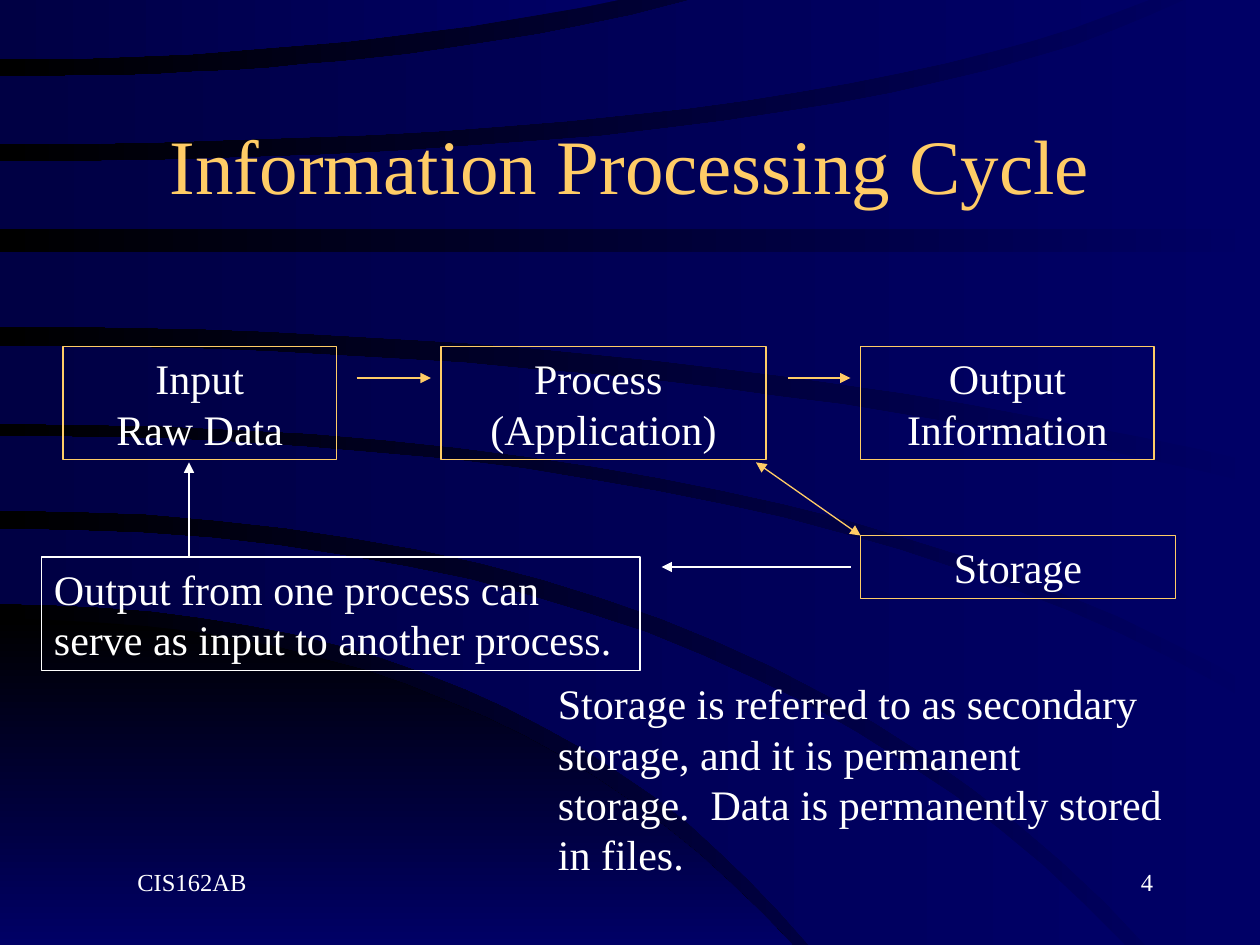
import pptx
import pptx.dml.color
import pptx.enum.shapes
import pptx.enum.text
import pptx.oxml
import pptx.oxml.ns
import pptx.util
from dataclasses import dataclass

PX = 9144
W, H = 1000, 750


@dataclass(frozen=True)
class Theme:
    font: str = "Times New Roman"
    gold: str = "FFCC66"
    white: str = "FFFFFF"
    blue: str = "000066"
    navy: str = "000044"
    black: str = "000000"
    title: int = 44
    body: int = 24
    footer: int = 14
    line: float = 0.75


T = Theme()
ALIGN = pptx.enum.text.PP_ALIGN
ANCHOR = pptx.enum.text.MSO_ANCHOR
STEPS = 20

# edge: left y, bend x, right x, right y
HILL = ((491, 394, 629, H), (H, 394, 629, H), [])
BANDS = [
    ((420, 579, 893, H), (479, 418, 642, H), []),
    ((346, 645, W, 562), (405, 595, 909, H), [(W, H)]),
    ((275, 541, W, 385), (336, 645, W, 548), []),
    ((200, 500, W, 200), (259, 540, W, 368), []),
    ((128, 680, 940, 0), (182, 500, W, 182), [(W, 0)]),
    ((61, 322, 548, 0), (114, 635, 912, 0), []),
    ((0, 256, 491, 0), (47, 256, 491, 0), []),
]

BOXES = [
    ("Input\nRaw Data", (50, 275, 217, 90), T.gold, ALIGN.CENTER),
    ("Process \n(Application)", (350, 275, 258, 90), T.gold, ALIGN.CENTER),
    ("Output\nInformation", (683, 275, 233, 90), T.gold, ALIGN.CENTER),
    ("Storage", (683, 425, 250, 50), T.gold, ALIGN.CENTER),
    ("Output from one process can serve as input to another process.",
     (33, 442, 475, 90), T.white, ALIGN.LEFT),
]
ARROWS = [
    ((283, 300), (342, 300), T.gold, ["tailEnd"]),
    ((625, 300), (675, 300), T.gold, ["tailEnd"]),
    ((600, 367), (683, 425), T.gold, ["headEnd", "tailEnd"]),
    ((675, 450), (525, 450), T.white, ["tailEnd"]),
    ((150, 442), (150, 367), T.white, ["tailEnd"]),
]
TITLE = ("Information Processing Cycle", (75, 67, 850, 125))
STORAGE_NOTE = (
    "Storage is referred to as secondary storage, and it is permanent storage.  "
    "Data is permanently stored in files.", (433, 533, 500, 170))
COURSE = ("CIS162AB", (75, 683, 208, 50))
PAGE = ("4", (717, 683, 208, 50))
FOOTER_INDENT = 34


def rgb(value):
    return pptx.dml.color.RGBColor.from_string(value)


def emu(lengths):
    return [n * PX for n in lengths]


def paint_gradient(fill, start, end, angle):
    fill.gradient()
    fill.gradient_angle = angle
    for stop, color, position in zip(fill.gradient_stops, (start, end), (0, 1)):
        stop.color.rgb = rgb(color)
        stop.position = position


def edge_points(left_y, bend_x, right_x, right_y):
    points = []
    for step in range(STEPS + 1):
        t = step / STEPS
        x = 2 * t * (1 - t) * bend_x + t * t * right_x
        y = left_y + t * t * (right_y - left_y)
        points.append((round(x), round(y)))
    return points


def add_wave(shapes, wave, start, end, angle):
    upper, lower, corner = wave
    points = edge_points(*upper) + corner + edge_points(*lower)[::-1]
    builder = shapes.build_freeform(*points[0], scale=PX)
    builder.add_line_segments(points[1:], close=True)
    sp = builder.convert_to_shape()
    sp.shadow.inherit = False
    sp.line.fill.background()
    paint_gradient(sp.fill, start, end, angle)


def write(sp, text, size, color=T.white, align=ALIGN.LEFT, anchor=ANCHOR.TOP, grow=False):
    tf = sp.text_frame
    tf.word_wrap = True
    tf.vertical_anchor = anchor
    if grow:
        tf.auto_size = pptx.enum.text.MSO_AUTO_SIZE.SHAPE_TO_FIT_TEXT
    p = tf.paragraphs[0]
    p.text = text
    p.alignment = align
    p.font.name = T.font
    p.font.size = pptx.util.Pt(size)
    p.font.color.rgb = rgb(color)
    return tf


def add_box(shapes, text, place, color, align):
    sp = shapes.add_shape(pptx.enum.shapes.MSO_SHAPE.RECTANGLE, *emu(place))
    sp.shadow.inherit = False
    sp.fill.background()
    sp.line.color.rgb = rgb(color)
    sp.line.width = pptx.util.Pt(T.line)
    write(sp, text, T.body, align=align, grow=True)


def add_arrow(shapes, start, end, color, heads):
    kind = pptx.enum.shapes.MSO_CONNECTOR.STRAIGHT
    cxn = shapes.add_connector(kind, *emu(start + end))
    cxn.line.color.rgb = rgb(color)
    cxn.line.width = pptx.util.Pt(T.line)
    ns = pptx.oxml.ns.nsdecls("a")
    sp_pr = cxn._element.spPr
    ln = sp_pr.find(pptx.oxml.ns.qn("a:ln"))
    for head in heads:
        ln.append(pptx.oxml.parse_xml(f'<a:{head} {ns} type="triangle"/>'))
    sp_pr.append(pptx.oxml.parse_xml(f"<a:effectLst {ns}/>"))


def add_text(shapes, item, size, **style):
    text, place = item
    return write(shapes.add_textbox(*emu(place)), text, size, **style)


def main():
    prs = pptx.Presentation()
    prs.slide_width, prs.slide_height = emu((W, H))
    slide = prs.slides.add_slide(prs.slide_layouts[6])
    shapes = slide.shapes
    paint_gradient(slide.background.fill, T.blue, T.black, 180)
    add_wave(shapes, HILL, T.black, T.blue, 270)
    for band in BANDS:
        add_wave(shapes, band, T.blue, T.navy, 180)
    add_text(shapes, TITLE, T.title, color=T.gold, align=ALIGN.CENTER, anchor=ANCHOR.MIDDLE)
    for box in BOXES:
        add_box(shapes, *box)
    for arrow in ARROWS:
        add_arrow(shapes, *arrow)
    add_text(shapes, STORAGE_NOTE, T.body, grow=True)
    add_text(shapes, PAGE, T.footer, align=ALIGN.RIGHT)
    add_text(shapes, COURSE, T.footer).margin_left = FOOTER_INDENT * PX
    prs.save("out.pptx")


if __name__ == "__main__":
    main()
